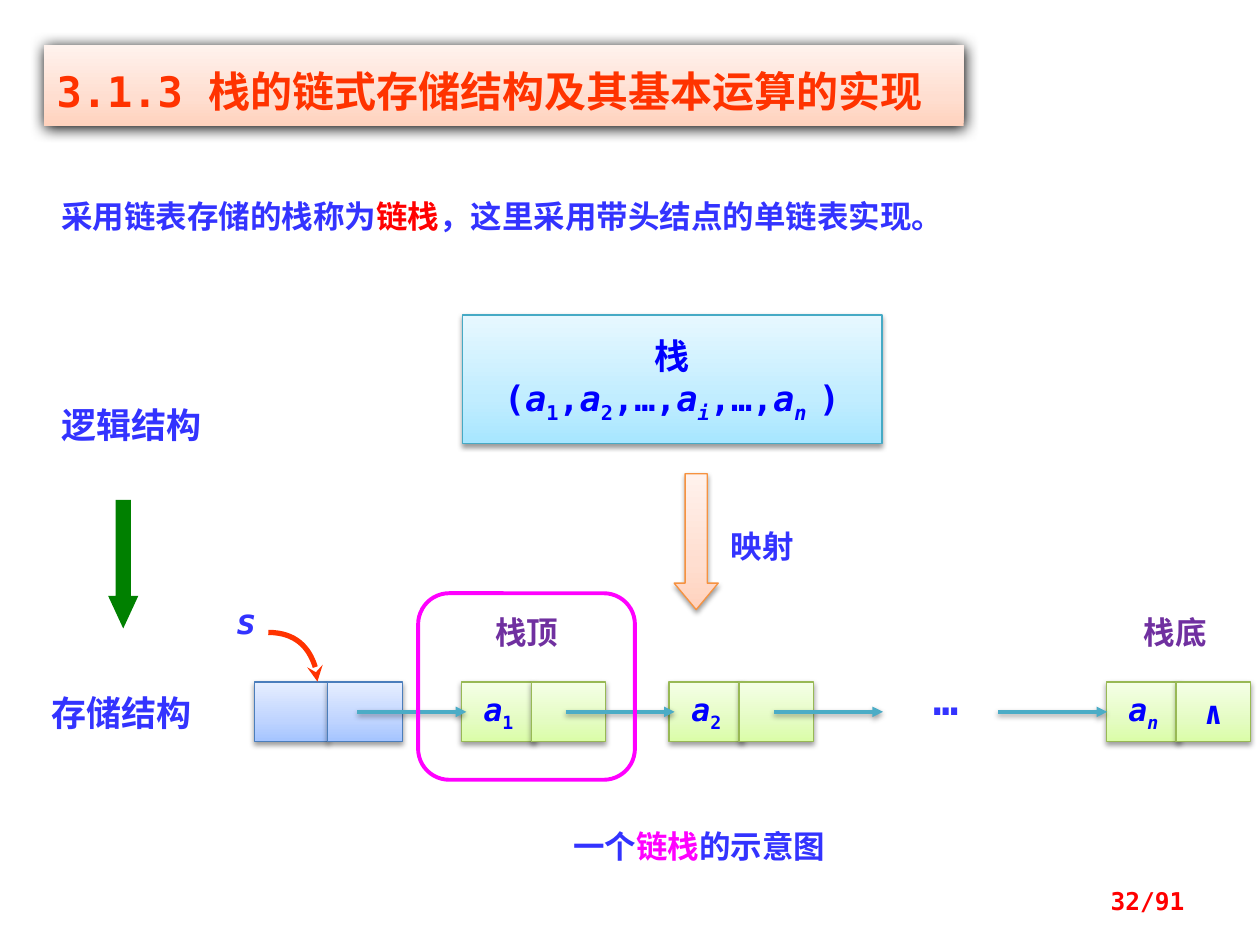
from dataclasses import dataclass
from typing import Optional

from lxml.etree import SubElement
from pptx import Presentation
from pptx.dml.color import RGBColor
from pptx.enum.shapes import MSO_CONNECTOR as Link, MSO_SHAPE as Shape
from pptx.enum.text import MSO_ANCHOR as Anchor, PP_ALIGN as Align
from pptx.oxml.ns import qn
from pptx.util import Cm, Pt

MONO, SANS, SANS_JP = "DejaVu Sans Mono", "Noto Sans CJK SC", "Noto Sans CJK JP"
BLUE = RGBColor(0x33, 0x33, 0xFF)
DEEP_BLUE = RGBColor(0x00, 0x00, 0xFF)
RED = RGBColor(0xFF, 0x00, 0x00)
ORANGE = RGBColor(0xFF, 0x33, 0x00)
GREEN = RGBColor(0x00, 0x80, 0x00)
PURPLE = RGBColor(0x70, 0x30, 0xA0)
MAGENTA = RGBColor(0xFF, 0x00, 0xFF)
TEAL = RGBColor(0x4B, 0xAC, 0xC6)


@dataclass(frozen=True)
class Run:
    text: str
    italic: Optional[bool] = None
    sub: bool = False
    color: Optional[RGBColor] = None
    font: Optional[str] = None


@dataclass(frozen=True)
class Theme:
    shades: tuple[str, str, str]
    edge: Optional[RGBColor]
    shadow: tuple[float, float, int] = (3.1, 1.6, 38)


@dataclass(frozen=True)
class Label:
    box: tuple[float, float, float, float]
    runs: tuple[Run, ...]
    size: int
    font: str = MONO
    color: RGBColor = BLUE
    align: Align = Align.LEFT
    anchor: Anchor = Anchor.TOP


@dataclass(frozen=True)
class Node:
    left: float
    theme: Theme
    value: tuple[Run, ...] = ()
    link: tuple[Run, ...] = ()
    link_offset: float = 1.41


PEACH_SHADES = ("FFD2BD", "FFDED0", "FFF2ED")
CYAN_THEME = Theme(("A7E6FF", "C1EDFF", "E7F8FF"), RGBColor(0x46, 0xAA, 0xC5))
PEACH_THEME = Theme(PEACH_SHADES, RGBColor(0xF6, 0x92, 0x40))
TITLE_THEME = Theme(PEACH_SHADES, None, (8.5, 1, 100))
HEAD_THEME = Theme(("A4C4FF", "BFD4FF", "E6EEFF"), RGBColor(0x4B, 0x7E, 0xBC))
NODE_THEME = Theme(("DAFDA7", "E4FCC2", "F5FFE7"), RGBColor(0x98, 0xB9, 0x55))


def element(index: str, italic: bool = False) -> tuple[Run, Run]:
    return Run("a", True), Run(index, italic, True)


LABELS = [
    Label((14.48, 10.49, 2.57, 1.02), (Run("映射"),), 18),
    Label((0.99, 8, 3.76, 1.12), (Run("逻辑结构"),), 20, SANS),
    Label((0.79, 13.82, 4.37, 1.12), (Run("存储结构"),), 20, SANS),
    Label((10.82, 16.54, 6.55, 1.02),
          (Run("一个"), Run("链栈", color=MAGENTA), Run("的示意图")),
          18, SANS, align=Align.CENTER),
    Label((17.86, 13.46, 2.41, 1.27), (Run("…"),), 24, align=Align.CENTER),
    Label((4.37, 11.96, 1.19, 1.12), (Run("s", True),), 20, align=Align.CENTER),
    Label((9.22, 12.24, 2.79, 1.02), (Run("栈顶"),), 18, SANS, PURPLE, Align.CENTER),
    Label((22.3, 12.24, 2.79, 1.02), (Run("栈底"),), 18, SANS, PURPLE, Align.CENTER),
    Label((0.99, 3.84, 20.83, 1.02),
          (Run("采用链表存储的栈称为"), Run("链栈", color=RED, font=SANS_JP),
           Run("，这里采用带头结点的单链表实现。")), 18),
    Label((18.21, 17.65, 5.92, 1.02), (Run("32/91"),), 14, MONO, RED,
          Align.RIGHT, Anchor.MIDDLE),
]
NODES = [
    Node(5.13, HEAD_THEME, link_offset=1.48),
    Node(9.3, NODE_THEME, element("1")),
    Node(13.49, NODE_THEME, element("2")),
    Node(22.3, NODE_THEME, element("n", True), (Run("∧"),)),
]
POINTER_STARTS = (7.2, 11.4, 15.6, 20.12)
CELL_TOP, CELL_WIDTH, CELL_HEIGHT, POINTER_LENGTH = 13.75, 1.5, 1.2, 2.2


def set_typeface(font, properties, name: str) -> None:
    font.name = name
    SubElement(properties, qn("a:ea")).set("typeface", name)


def write(paragraph, runs, size: int, font: str, color: RGBColor, align: Align) -> None:
    paragraph.alignment = align
    paragraph.font.size = Pt(size)
    paragraph.font.bold = True
    uniform_color = all(part.color is None for part in runs)
    uniform_font = all(part.font is None for part in runs)
    if uniform_color:
        paragraph.font.color.rgb = color
    if uniform_font:
        set_typeface(paragraph.font, paragraph.font._rPr, font)
    for part in runs:
        run = paragraph.add_run()
        run.text = part.text
        properties = run._r.get_or_add_rPr()
        run.font.italic = part.italic
        if part.sub:
            properties.set("baseline", "-25000")
        if not uniform_color:
            run.font.color.rgb = part.color or color
        if not uniform_font:
            set_typeface(run.font, properties, part.font or font)


def add_shadow(shape, blur: float, distance: float, opacity: int) -> None:
    effects = SubElement(shape._element.spPr, qn("a:effectLst"))
    outer = SubElement(effects, qn("a:outerShdw"), blurRad=str(Pt(blur)),
                       dist=str(Pt(distance)), dir="5400000", rotWithShape="0")
    tint = SubElement(outer, qn("a:srgbClr"), val="000000")
    SubElement(tint, qn("a:alpha"), val=str(opacity * 1000))


def add_tail(shape, kind: str) -> None:
    SubElement(shape.line._get_or_add_ln(), qn("a:tailEnd"), type=kind)


def add_block(slide, kind: Shape, box, theme: Theme):
    block = slide.shapes.add_shape(kind, *map(Cm, box))
    block.fill.gradient()
    block.fill.gradient_angle = 90
    stops = block._element.spPr.find(".//" + qn("a:gsLst"))
    stops.clear()
    for position, shade in zip((0, 35, 100), theme.shades):
        stop = SubElement(stops, qn("a:gs"), pos=str(position * 1000))
        SubElement(stop, qn("a:srgbClr"), val=shade)
    if theme.edge is None:
        block.line.fill.background()
    else:
        block.line.color.rgb = theme.edge
        block.line.width = Pt(0.75)
    add_shadow(block, *theme.shadow)
    return block


def add_label(slide, label: Label) -> None:
    frame = slide.shapes.add_textbox(*map(Cm, label.box)).text_frame
    frame.word_wrap = True
    frame.vertical_anchor = label.anchor
    write(frame.paragraphs[0], label.runs, label.size, label.font, label.color, label.align)


def add_cell(slide, left: float, theme: Theme, runs: tuple[Run, ...]) -> None:
    cell = add_block(slide, Shape.RECTANGLE, (left, CELL_TOP, CELL_WIDTH, CELL_HEIGHT), theme)
    if runs:
        cell.text_frame.word_wrap = False
        write(cell.text_frame.paragraphs[0], runs, 18, MONO, DEEP_BLUE, Align.CENTER)


def add_pointer(slide, start: float) -> None:
    middle = Cm(CELL_TOP + CELL_HEIGHT / 2)
    pointer = slide.shapes.add_connector(
        Link.STRAIGHT, Cm(start), middle, Cm(start + POINTER_LENGTH), middle)
    pointer.line.color.rgb = TEAL
    pointer.line.width = Pt(2)
    add_tail(pointer, "triangle")
    add_shadow(pointer, 3.1, 1.6, 38)


def add_head_curve(slide, left: float, top: float, radius: float) -> None:
    side = Cm(radius)
    builder = slide.shapes.build_freeform(0, 0)
    builder.add_line_segments([(side, side)], close=False)
    curve = builder.convert_to_shape(Cm(left), Cm(top))
    segment = curve._element.spPr.find(".//" + qn("a:lnTo"))
    segment.tag = qn("a:cubicBezTo")
    segment.clear()
    for x, y in ((0.55, 0), (1, 0.45), (1, 1)):
        SubElement(segment, qn("a:pt"), x=str(int(side * x)), y=str(int(side * y)))
    curve.fill.background()
    curve.shadow.inherit = False
    curve.line.color.rgb = ORANGE
    curve.line.width = Pt(3)
    add_tail(curve, "stealth")


def main() -> None:
    deck = Presentation()
    deck.slide_width, deck.slide_height = Cm(25.4), Cm(19.05)
    slide = deck.slides.add_slide(deck.slide_layouts[6])

    stack = add_block(slide, Shape.RECTANGLE, (9.32, 6.35, 8.46, 2.59), CYAN_THEME).text_frame
    stack.word_wrap = False
    sequence = (Run("("), *element("1"), Run(","), *element("2"), Run(",…,"),
                *element("i", True), Run(",…,"), *element("n ", True), Run(")"))
    write(stack.paragraphs[0], (Run("栈"),), 20, MONO, DEEP_BLUE, Align.CENTER)
    write(stack.add_paragraph(), sequence, 20, MONO, DEEP_BLUE, Align.CENTER)

    mapping = add_block(slide, Shape.DOWN_ARROW, (13.59, 9.55, 0.89, 2.74), PEACH_THEME)
    mapping.adjustments[1] = 0.6
    descent = slide.shapes.add_shape(Shape.DOWN_ARROW, Cm(2.18), Cm(10.08), Cm(0.61), Cm(2.59))
    descent.adjustments[1] = 1.08
    descent.fill.solid()
    descent.fill.fore_color.rgb = GREEN
    descent.line.fill.background()
    descent.shadow.inherit = False

    for node in NODES:
        add_cell(slide, node.left, node.theme, node.value)
        add_cell(slide, node.left + node.link_offset, node.theme, node.link)
    for start in POINTER_STARTS:
        add_pointer(slide, start)
    add_head_curve(slide, 5.41, 12.75, 0.99)

    top_frame = slide.shapes.add_shape(
        Shape.ROUNDED_RECTANGLE, Cm(8.43), Cm(11.96), Cm(4.37), Cm(3.76))
    top_frame.fill.background()
    top_frame.line.color.rgb = MAGENTA
    top_frame.line.width = Pt(2.25)
    top_frame.shadow.inherit = False

    title = add_block(slide, Shape.RECTANGLE, (0.89, 0.91, 18.54, 1.63), TITLE_THEME).text_frame
    title.margin_top = title.margin_bottom = Cm(0.2)
    title.paragraphs[0].line_spacing = 1.2
    write(title.paragraphs[0], (Run("3.1.3 栈的链式存储结构及其基本运算的实现"),),
          24, MONO, ORANGE, Align.LEFT)

    for label in LABELS:
        add_label(slide, label)
    deck.save("out.pptx")


if __name__ == "__main__":
    main()
